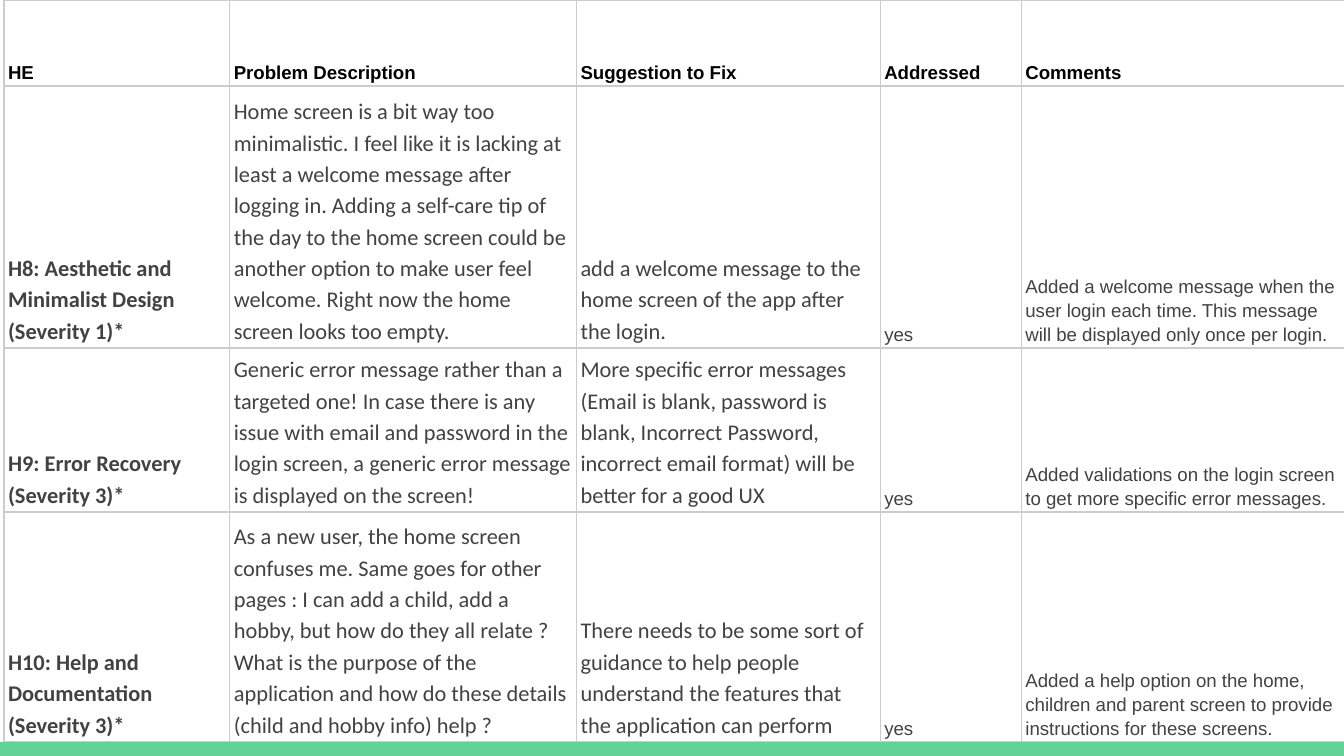
from lxml import etree
from pptx import Presentation
from pptx.dml.color import RGBColor
from pptx.enum.shapes import MSO_SHAPE
from pptx.enum.text import MSO_ANCHOR
from pptx.oxml.ns import qn
from pptx.util import Inches, Pt

RECTANGLE = MSO_SHAPE.RECTANGLE
BOTTOM = MSO_ANCHOR.BOTTOM

WIDTH = 10
HEIGHT = WIDTH * 9 / 16
COLORS = {"bar": "63D297", "border": "CCCCCC", "header": "000000", "body": "424242"}
COLUMN_WIDTHS = [1.68, 2.58, 2.26, 1.05, 2.43]
ROW_HEIGHTS = [0.64, 1.95, 1.22, 1.71]
BAR_TOP = sum(ROW_HEIGHTS)

HEADER = ["HE", "Problem Description", "Suggestion to Fix", "Addressed", "Comments"]
FINDINGS = [
    [
        "H8: Aesthetic and Minimalist Design (Severity 1)*",
        "Home screen is a bit way too minimalistic. I feel like it is lacking at least "
        "a welcome message after logging in. Adding a self-care tip of the day to the "
        "home screen could be another option to make user feel welcome. Right now the "
        "home screen looks too empty.",
        "add a welcome message to the home screen of the app after the login.",
        "yes",
        "Added a welcome message when the user login each time. This message will be "
        "displayed only once per login.",
    ],
    [
        "H9: Error Recovery (Severity 3)*",
        "Generic error message rather than a targeted one! In case there is any issue "
        "with email and password in the login screen, a generic error message is "
        "displayed on the screen!",
        "More specific error messages (Email is blank, password is blank, Incorrect "
        "Password, incorrect email format) will be better for a good UX",
        "yes",
        "Added validations on the login screen to get more specific error messages.",
    ],
    [
        "H10: Help and Documentation (Severity 3)*",
        "As a new user, the home screen confuses me. Same goes for other pages : I can "
        "add a child, add a hobby, but how do they all relate ? What is the purpose of "
        "the application and how do these details (child and hobby info) help ?",
        "There needs to be some sort of guidance to help people understand the features "
        "that the application can perform",
        "yes",
        "Added a help option on the home, children and parent screen to provide "
        "instructions for these screens.",
    ],
]


class SlideBuilder:
    """Holds the style and the current slide, and draws its elements."""

    def __init__(self, slide, colors):
        self.slide = slide
        self.colors = colors

    def bar(self, top):
        """Draw a full-width bar from the given height to the slide's foot."""
        bar = self.slide.shapes.add_shape(
            RECTANGLE, 0, Inches(top), Inches(WIDTH), Inches(HEIGHT - top)
        )
        bar.shadow.inherit = False
        bar.fill.solid()
        bar.fill.fore_color.rgb = RGBColor.from_string(self.colors["bar"])
        bar.line.fill.background()

    def table(self, left, top, widths, heights, rows):
        """Draw a bordered table with a header row and bold first column."""
        table = self.slide.shapes.add_table(
            len(rows), len(widths), Inches(left), Inches(top),
            Inches(sum(widths)), Inches(sum(heights)),
        ).table
        table.first_row = False
        table.horz_banding = False
        for column, width in zip(table.columns, widths):
            column.width = Inches(width)
        for row, height in zip(table.rows, heights):
            row.height = Inches(height)
        for row_index, row in enumerate(rows):
            for column_index, text in enumerate(row):
                self.cell(table.cell(row_index, column_index), text, row_index, column_index)

    def cell(self, cell, text, row_index, column_index):
        """Fill one cell and format it by its place in the table."""
        is_header = row_index == 0
        is_small = is_header or column_index > 2
        self.borders(cell)
        cell.fill.background()
        cell.vertical_anchor = BOTTOM
        cell.margin_left = cell.margin_right = Inches(0.03)
        cell.margin_top = cell.margin_bottom = Inches(0.02)
        cell.text_frame.text = text
        para = cell.text_frame.paragraphs[0]
        para.line_spacing = 1.15
        font = para.runs[0].font
        font.name = "Arial" if is_small else "Calibri"
        font.size = Pt(10 if is_small else 12)
        font.bold = is_header or column_index == 0
        font.color.rgb = RGBColor.from_string(self.colors["header" if is_header else "body"])

    def borders(self, cell):
        """Put a thin line on all four sides of a cell."""
        properties = cell._tc.get_or_add_tcPr()
        for side in ("a:lnL", "a:lnR", "a:lnT", "a:lnB"):
            line = etree.SubElement(properties, qn(side), w=str(Pt(0.75)))
            fill = etree.SubElement(line, qn("a:solidFill"))
            etree.SubElement(fill, qn("a:srgbClr"), val=self.colors["border"])


def main():
    """Build the findings slide and save the deck."""
    deck = Presentation()
    deck.slide_width = Inches(WIDTH)
    deck.slide_height = Inches(HEIGHT)
    page = SlideBuilder(deck.slides.add_slide(deck.slide_layouts[6]), COLORS)
    page.bar(BAR_TOP)
    page.table(0.03, 0, COLUMN_WIDTHS, ROW_HEIGHTS, [HEADER, *FINDINGS])
    deck.save("out.pptx")


if __name__ == "__main__":
    main()
